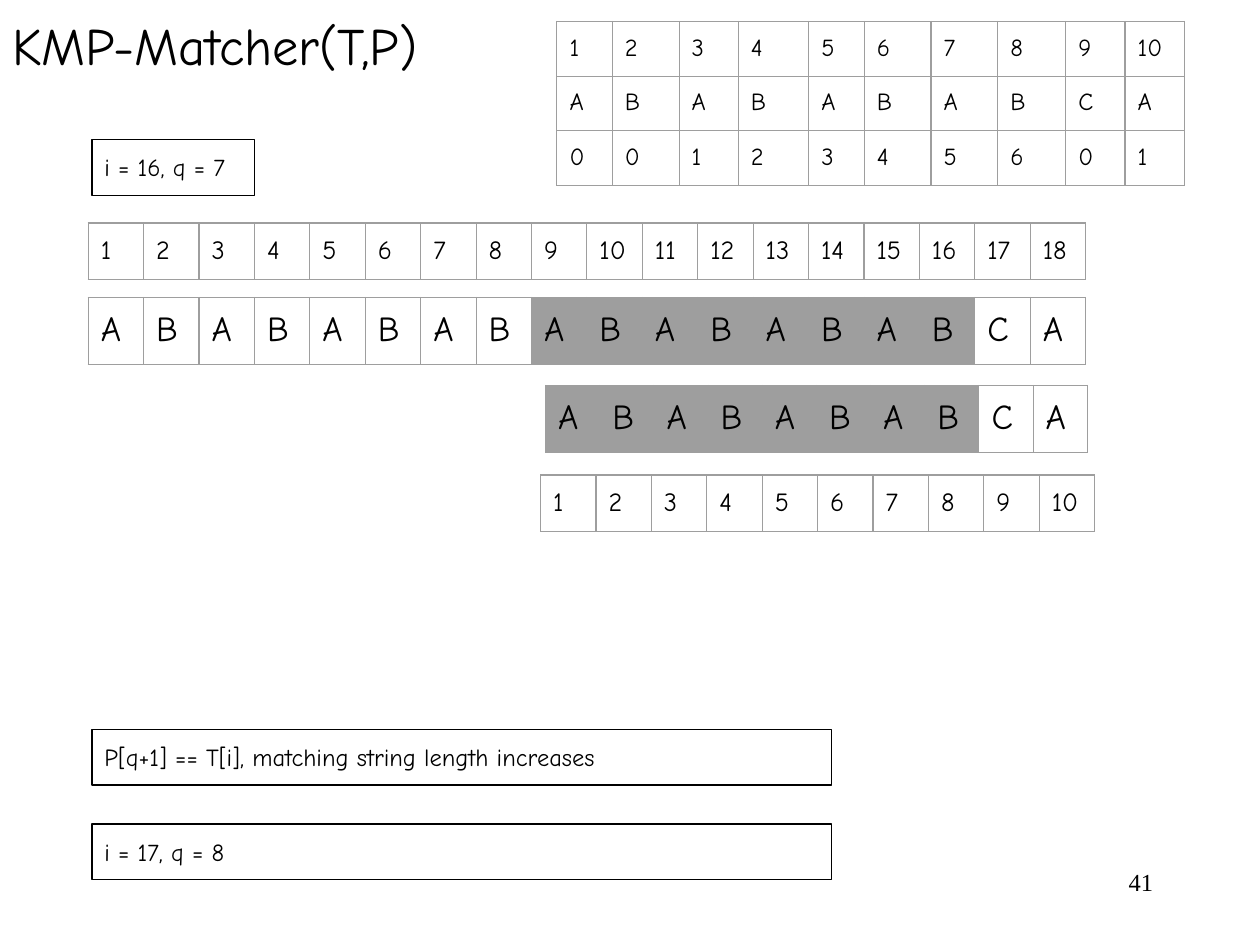
import pptx
import pptx.dml.color
import pptx.enum.shapes
import pptx.enum.text
import pptx.oxml
import pptx.oxml.ns
import pptx.util

Inches = pptx.util.Inches
Pt = pptx.util.Pt
Align = pptx.enum.text.PP_ALIGN
BLACK = pptx.dml.color.RGBColor(0x00, 0x00, 0x00)
GREY = pptx.dml.color.RGBColor(0x9E, 0x9E, 0x9E)
FONT = "Comic Neue"
NS = pptx.oxml.ns.nsdecls("a")


def write(frame, text, size, name=FONT, align=Align.LEFT):
    para = frame.paragraphs[0]
    para.alignment = align
    run = para.add_run()
    run.text = text
    look = {"size": Pt(size), "name": name, "bold": False}
    for key, value in look.items():
        setattr(run.font, key, value)
    run.font.color.rgb = BLACK


def add_grid(left, top, widths, rows, size, shade=()):
    """Draw a ruled table; shade lists the columns filled grey."""
    high = 0.42
    table = slide.shapes.add_table(
        len(rows), len(widths), Inches(left), Inches(top),
        Inches(sum(widths)), Inches(high * len(rows))).table
    table.first_row = table.horz_banding = False
    for col, width in zip(table.columns, widths):
        col.width = Inches(width)
    for r, row in enumerate(rows):
        table.rows[r].height = Inches(high)
        for c, text in enumerate(row):
            cell = table.cell(r, c)
            for side in ("left", "top", "right", "bottom"):
                setattr(cell, "margin_" + side, Inches(0.1))
            write(cell.text_frame, str(text), size)
            props = cell._tc.get_or_add_tcPr()
            for edge in ("lnL", "lnR", "lnT", "lnB"):
                props.append(pptx.oxml.parse_xml(
                    f'<a:{edge} {NS} w="{Pt(0.75)}"><a:solidFill>'
                    f'<a:srgbClr val="{GREY}"/></a:solidFill></a:{edge}>'))
            if c in shade:
                cell.fill.solid()
                cell.fill.fore_color.rgb = GREY
            else:
                cell.fill.background()


deck = pptx.Presentation()
deck.slide_width = Inches(10)
deck.slide_height = Inches(7.5)
slide = deck.slides.add_slide(deck.slide_layouts[6])

# Title and page number
labels = [
    (0, 0, 3.98, 0.71, 0.1, "KMP-Matcher(T,P)", 30, FONT, Align.LEFT),
    (7.17, 6.83, 2.08, 0.5, 0.05, "41", 14, "Times New Roman", Align.RIGHT),
]
for left, top, width, height, pad, text, size, name, align in labels:
    box = slide.shapes.add_textbox(
        Inches(left), Inches(top), Inches(width), Inches(height))
    frame = box.text_frame
    frame.word_wrap = True
    frame.margin_top = frame.margin_bottom = Inches(pad)
    write(frame, text, size, name, align)

# State of the search, before and after this step
notes = [
    (1.11, 1.29, "i = 16, q = 7"),
    (5.79, 5.87, "P[q+1] == T[i], matching string length increases"),
    (6.54, 5.87, "i = 17, q = 8"),
]
for top, width, text in notes:
    box = slide.shapes.add_shape(
        pptx.enum.shapes.MSO_SHAPE.RECTANGLE,
        Inches(0.73), Inches(top), Inches(width), Inches(0.44))
    box.shadow.inherit = False
    box.fill.background()
    box.line.color.rgb = BLACK
    box.line.width = Pt(0.75)
    frame = box.text_frame
    frame.word_wrap = True
    frame.vertical_anchor = pptx.enum.text.MSO_ANCHOR.TOP
    frame.margin_top = frame.margin_bottom = Inches(0.1)
    write(frame, text, 14)

# Prefix table, then text and pattern with their indices
pattern = "ABABABABCA"
prefix = [0, 0, 1, 2, 3, 4, 5, 6, 0, 1]
string = "ABABABAB" + pattern
match = 8
start = len(string) - len(pattern)

add_grid(4.42, 0.17,
         [0.44, 0.53, 0.47, 0.56, 0.44, 0.53, 0.53, 0.54, 0.47, 0.47],
         [range(1, len(pattern) + 1), pattern, prefix], 14)
add_grid(0.7, 1.77, [0.44] * len(string), [range(1, len(string) + 1)], 15)
add_grid(0.7, 2.36, [0.44] * len(string), [string], 20,
         range(start, start + match))
add_grid(4.33, 3.06, [0.43] * len(pattern), [pattern], 20, range(match))
add_grid(4.29, 3.77, [0.44] * len(pattern), [range(1, len(pattern) + 1)], 15)

deck.save("out.pptx")
